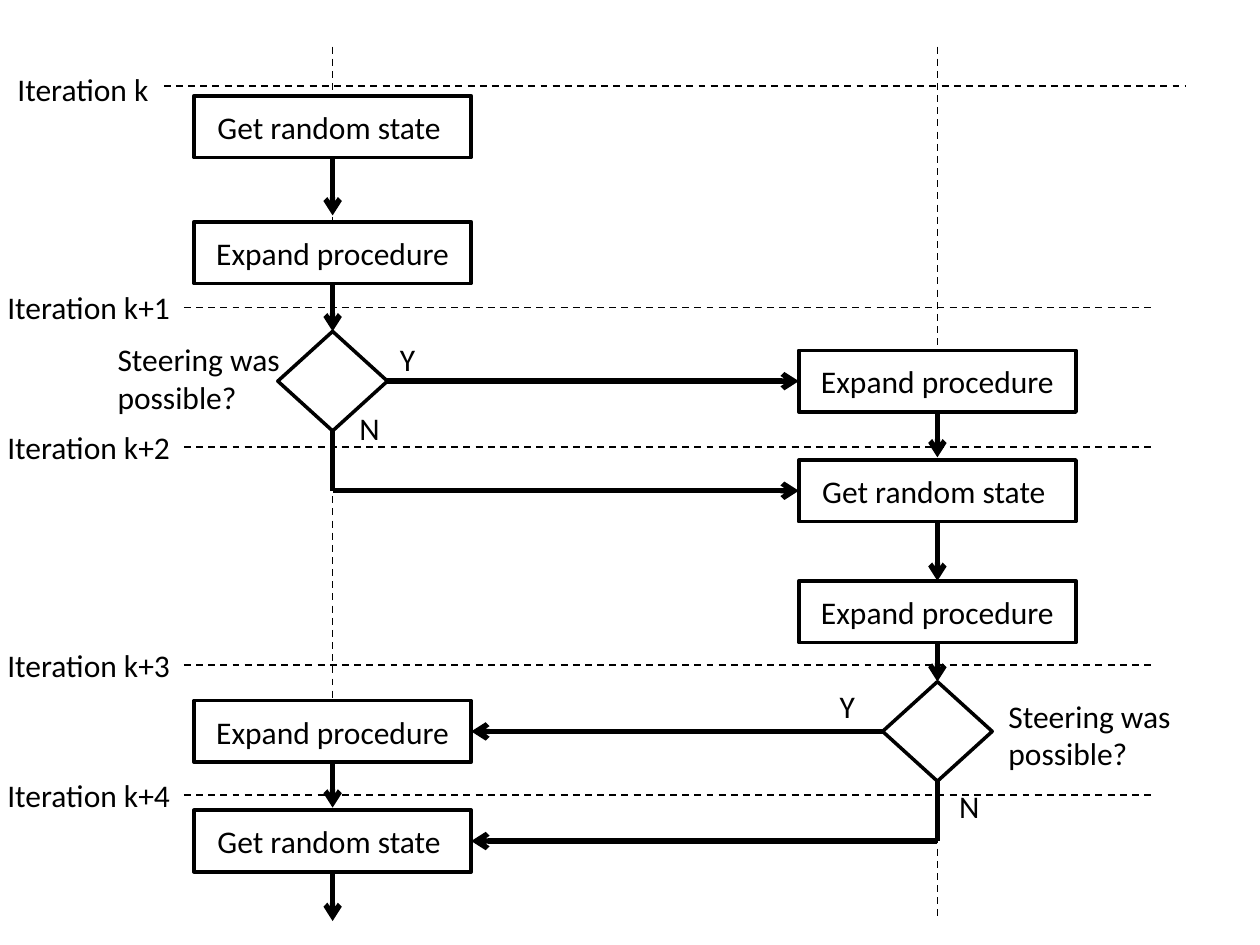
from lxml import etree
from pptx import Presentation
from pptx.dml.color import RGBColor
from pptx.enum import dml, shapes, text
from pptx.oxml.ns import qn
from pptx.util import Inches, Pt

BOX_W, BOX_H = 2.2, 0.49
DIAMOND_W, DIAMOND_H = 0.87, 0.79
LEFT_LANE, RIGHT_LANE = 2.64, 7.44
TOP, LEFT, BOTTOM, RIGHT = range(4)


def color(value):
    """Turn a hex string into a colour."""
    return RGBColor.from_string(value)


def write(sp, content, align):
    """Put formatted text into a shape."""
    tf = sp.text_frame
    tf.text = content
    p = tf.paragraphs[0]
    p.alignment = align
    r = p.runs[0]
    r.font.name, r.font.size = "Calibri", Pt(18)
    r.font.color.rgb = color("000000")


def label(s, x, y, w, h, content, wrap=True):
    """Add a left-aligned text box."""
    sp = s.shapes.add_textbox(Inches(x), Inches(y), Inches(w), Inches(h))
    sp.text_frame.word_wrap = wrap
    sp.text_frame.auto_size = text.MSO_AUTO_SIZE.SHAPE_TO_FIT_TEXT
    write(sp, content, text.PP_ALIGN.LEFT)


def node(s, kind, cx, y, w, h):
    """Add a white outlined shape centred on a lane."""
    sp = s.shapes.add_shape(kind, Inches(cx - w / 2), Inches(y), Inches(w), Inches(h))
    sp.shadow.inherit = False
    sp.fill.solid()
    sp.fill.fore_color.rgb = color("FFFFFF")
    sp.line.color.rgb = color("000000")
    sp.line.width = Pt(2)
    return sp


def process(s, cx, y, content):
    """Add a process box with centred text."""
    sp = node(s, shapes.MSO_SHAPE.RECTANGLE, cx, y, BOX_W, BOX_H)
    sp.text_frame.vertical_anchor = text.MSO_ANCHOR.MIDDLE
    write(sp, content, text.PP_ALIGN.CENTER)
    return sp


def line(s, start, end, width, arrow=False):
    """Join two ends, each a point or a shape with its connection site."""
    tied = [hasattr(e[0], "shape_id") for e in (start, end)]
    points = [(0, 0) if t else e for t, e in zip(tied, (start, end))]
    sp = s.shapes.add_connector(
        shapes.MSO_CONNECTOR.STRAIGHT, *(Inches(v) for point in points for v in point))
    if tied[0]:
        sp.begin_connect(*start)
    if tied[1]:
        sp.end_connect(*end)
    sp.line.color.rgb = color("000000")
    sp.line.width = Pt(width)
    if arrow:
        etree.SubElement(sp.line._get_or_add_ln(), qn("a:tailEnd"), type="arrow")
    etree.SubElement(sp._element.spPr, qn("a:effectLst"))
    return sp


def dashed(s, start, end):
    """Add a thin dashed guide line."""
    line(s, start, end, 1).line.dash_style = dml.MSO_LINE.DASH


def iteration(s, name, x, y, w, line_from, line_to, drop):
    """Add an iteration label with its dashed line."""
    dashed(s, (line_from, y + drop), (line_to, y + drop))
    label(s, x, y, w, 0.4, name)


def decision(s, cx, y, question, yes, no):
    """Add a diamond and its labels, offset from its top left corner."""
    sp = node(s, shapes.MSO_SHAPE.FLOWCHART_DECISION, cx, y, DIAMOND_W, DIAMOND_H)
    x = cx - DIAMOND_W / 2
    label(s, x + question[0], y + question[1], 1.56, 0.71, "Steering was possible?")
    label(s, x + yes[0], y + yes[1], 0.32, 0.4, "Y", False)
    label(s, x + no[0], y + no[1], 0.36, 0.4, "N", False)
    return sp


def phase(s, cx, other, first, expand_y, decision_y, tip_gap, labels):
    """Add one expand and decide phase; return the box it leads to."""
    side, far_side = (RIGHT, LEFT) if other > cx else (LEFT, RIGHT)
    expand = process(s, cx, expand_y, "Expand procedure")
    end = (cx, expand_y - tip_gap) if tip_gap else (expand, TOP)
    line(s, (first, BOTTOM), end, 3, True)
    choice = decision(s, cx, decision_y, *labels)
    line(s, (expand, BOTTOM), (choice, TOP), 3, True)

    yes_box = process(s, other, decision_y + 0.15, "Expand procedure")
    no_y = decision_y + 1.02
    no_box = process(s, other, no_y, "Get random state ")
    line(s, (choice, side), (yes_box, far_side), 3, True)
    line(s, (yes_box, BOTTOM), (other, no_y - 0.02), 3, True)
    corner = (cx, no_y + BOX_H / 2)
    line(s, (choice, BOTTOM), corner, 3)
    line(s, corner, (no_box, far_side), 3, True)
    return no_box


def main():
    """Build the flow chart slide."""
    prs = Presentation()
    prs.slide_width, prs.slide_height = Inches(10), Inches(7.5)
    s = prs.slides.add_slide(prs.slide_layouts[6])

    dashed(s, (LEFT_LANE, 0.37), (LEFT_LANE, 7.14))
    dashed(s, (RIGHT_LANE, 0.37), (RIGHT_LANE, 7.31))
    iteration(s, "Iteration k", 0.04, 0.51, 1.42, 1.3, 9.41, 0.17)
    for i, y in enumerate((2.24, 3.35, 5.08, 6.11), 1):
        iteration(s, f"Iteration k+{i}", -0.04, y, 1.65, 1.46, 9.17, 0.2)

    first = process(s, LEFT_LANE, 0.76, "Get random state ")
    second = phase(s, LEFT_LANE, RIGHT_LANE, first, 1.76, 2.63, 0.05,
                   ((-1.37, 0.02), (0.87, 0.02), (0.55, 0.57)))
    last = phase(s, RIGHT_LANE, LEFT_LANE, second, 4.61, 5.41, 0,
                 ((0.9, 0.07), (-0.44, -0.01), (0.51, 0.79)))
    line(s, (last, BOTTOM), (LEFT_LANE, 7.31), 3, True)
    prs.save("out.pptx")


if __name__ == "__main__":
    main()
